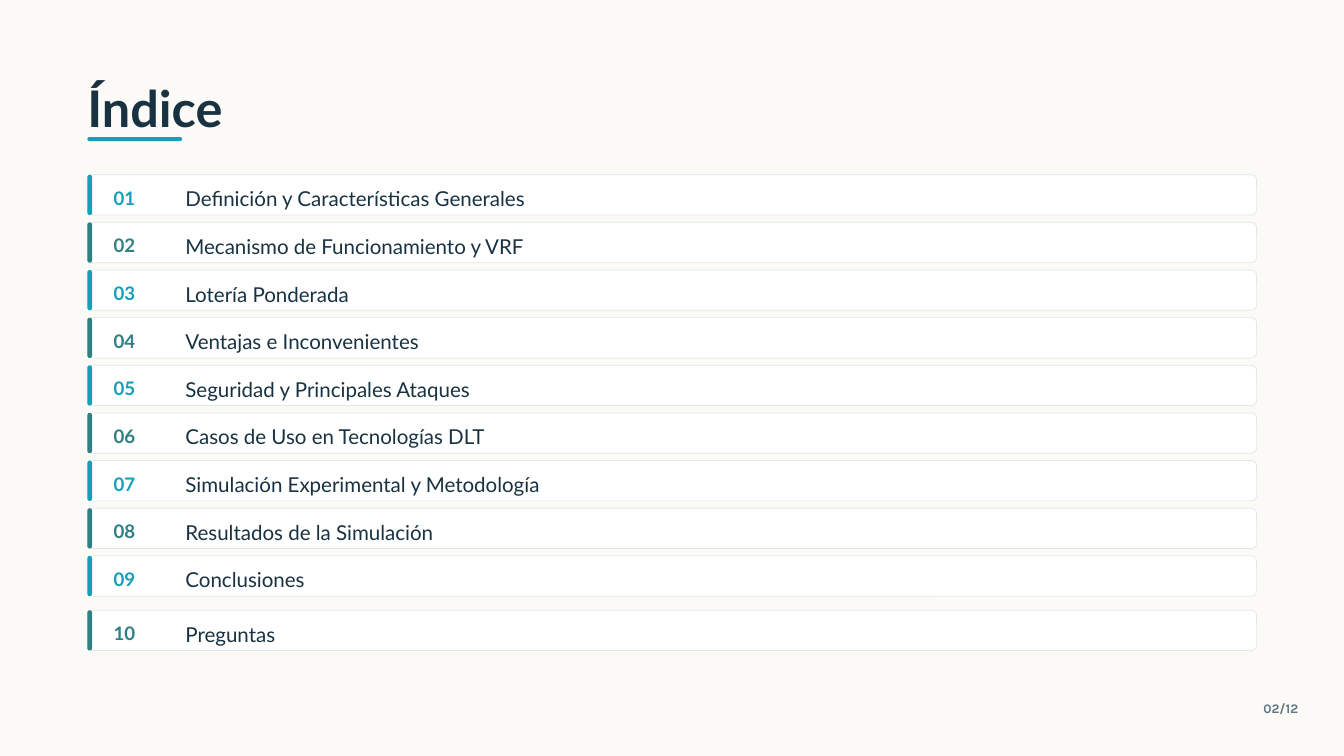
from dataclasses import dataclass

from pptx import Presentation
from pptx.dml.color import RGBColor
from pptx.enum.shapes import MSO_SHAPE
from pptx.enum.text import MSO_ANCHOR, MSO_AUTO_SIZE, PP_ALIGN
from pptx.shapes.autoshape import Shape
from pptx.slide import Slide
from pptx.util import Inches, Pt


@dataclass(frozen=True)
class Theme:
    paper: str = "FBFAF6"
    ink: str = "193242"
    cyan: str = "169FB8"
    teal: str = "2F7F83"
    card: str = "FFFFFF"
    edge: str = "DFE7E9"
    muted: str = "5F7480"
    font: str = "Lato"
    foot: str = "Karla"
    title: float = 54
    label: float = 22
    number: float = 20
    page: float = 14


@dataclass(frozen=True)
class Box:
    left: float
    top: float
    width: float
    height: float

    def emu(self) -> tuple[int, int, int, int]:
        return (Inches(self.left), Inches(self.top),
                Inches(self.width), Inches(self.height))


@dataclass(frozen=True)
class Style:
    size: float
    color: str
    bold: bool = False
    font: str = "Lato"
    align: PP_ALIGN = PP_ALIGN.LEFT


@dataclass(frozen=True)
class Entry:
    number: int
    label: str
    top: float
    color: str


THEME = Theme()
LEFT, WIDTH = 1.3, 17.4
TOP, PITCH, HEIGHT, BREAK = 2.6, 0.709, 0.6, 0.1
LABELS = (
    "Definición y Características Generales",
    "Mecanismo de Funcionamiento y VRF",
    "Lotería Ponderada",
    "Ventajas e Inconvenientes",
    "Seguridad y Principales Ataques",
    "Casos de Uso en Tecnologías DLT",
    "Simulación Experimental y Metodología",
    "Resultados de la Simulación",
    "Conclusiones",
    "Preguntas",
)


def write(shape: Shape, text: str, style: Style) -> None:
    frame = shape.text_frame
    frame.word_wrap = True
    frame.auto_size = MSO_AUTO_SIZE.NONE
    frame.vertical_anchor = MSO_ANCHOR.TOP
    frame.margin_left = frame.margin_right = 0
    frame.margin_top = frame.margin_bottom = 0
    frame.text = text
    para = frame.paragraphs[0]
    para.alignment = style.align
    para.line_spacing = Pt(style.size * 1.4)
    para.font.name = style.font
    para.font.size = Pt(style.size)
    para.font.bold = style.bold
    para.font.color.rgb = RGBColor.from_string(style.color)


def add_text(slide: Slide, box: Box, text: str, style: Style) -> None:
    write(slide.shapes.add_textbox(*box.emu()), text, style)


def add_panel(slide: Slide, box: Box, fill: str, curve: float,
              edge: str | None = None) -> None:
    panel = slide.shapes.add_shape(MSO_SHAPE.ROUNDED_RECTANGLE, *box.emu())
    panel.adjustments[0] = curve
    panel.shadow.inherit = False
    panel.fill.solid()
    panel.fill.fore_color.rgb = RGBColor.from_string(fill)
    if edge:
        panel.line.color.rgb = RGBColor.from_string(edge)
        panel.line.width = Pt(0.75)
    else:
        panel.line.fill.background()


def add_title(slide: Slide, text: str) -> None:
    title = slide.shapes.title
    title.left, title.top, title.width, title.height = Box(
        LEFT, 0.99, 5.42, 1.01).emu()
    write(title, text, Style(THEME.title, THEME.ink, True, THEME.font))
    add_panel(slide, Box(LEFT, 2.04, 1.41, 0.06), THEME.cyan, 0.5)


def add_entry(slide: Slide, entry: Entry) -> None:
    top = entry.top
    add_panel(slide, Box(LEFT, top, WIDTH, HEIGHT), THEME.card, 0.13,
              THEME.edge)
    add_panel(slide, Box(LEFT, top, 0.07, HEIGHT), entry.color, 0.5)
    add_text(slide, Box(1.69, top + 0.12, 0.68, 0.38), f"{entry.number:02}",
             Style(THEME.number, entry.color, True, THEME.font))
    add_text(slide, Box(2.76, top + 0.11, 15.1, 0.41), entry.label,
             Style(THEME.label, THEME.ink, font=THEME.font))


def main() -> None:
    deck = Presentation()
    deck.slide_width, deck.slide_height = Inches(20), Inches(11.25)
    slide = deck.slides.add_slide(deck.slide_layouts[5])
    slide.background.fill.solid()
    slide.background.fill.fore_color.rgb = RGBColor.from_string(THEME.paper)
    add_title(slide, "Índice")
    for row, label in enumerate(LABELS):
        gap = BREAK if row == len(LABELS) - 1 else 0
        color = THEME.teal if row % 2 else THEME.cyan
        add_entry(slide, Entry(row + 1, label, TOP + row * PITCH + gap, color))
    add_text(slide, Box(16.2, 10.39, 3.12, 0.26), "02/12",
             Style(THEME.page, THEME.muted, True, THEME.foot, PP_ALIGN.RIGHT))
    deck.save("out.pptx")


if __name__ == "__main__":
    main()
